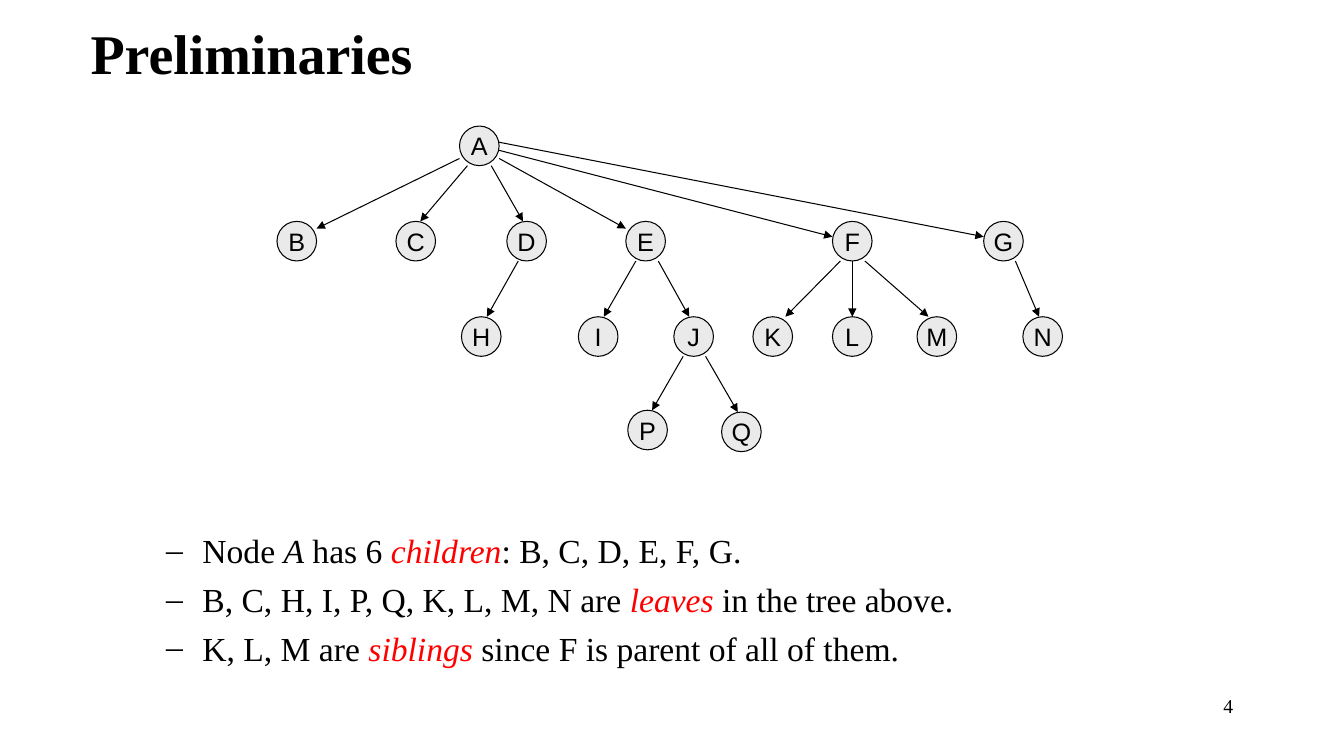
from pptx import Presentation
from pptx.dml.color import RGBColor
from pptx.enum.shapes import MSO_CONNECTOR as CONN, MSO_SHAPE as SHAPE
from pptx.enum.text import MSO_ANCHOR as ANCHOR, PP_ALIGN as ALIGN
from pptx.oxml.ns import qn
from pptx.util import Pt
from lxml.etree import SubElement

COLORS = {"ink": "000000", "term": "FF0000", "node": "EAEAEA"}
SERIF, SANS = "Times New Roman", "Arial"
TITLE, PAGE = "Preliminaries", "4"
FACTS = [
    [("Node ", None), ("A", "ink"), (" has 6 ", None), ("children", "term"),
     (": B, C, D, E, F, G.", None)],
    [("B, C, H, I, P, Q, K, L, M, N are ", None), ("leaves ", "term"),
     ("in the tree above.", None)],
    [("K, L, M are ", None), ("siblings", "term"),
     (" since F is parent of all of them.", None)],
]
DIAMETER = 28.3
RADIUS = DIAMETER / 2
ROWS = [
    (104.2, {"A": 342.4}),
    (172.3, {"B": 212, "C": 297, "D": 376.2, "E": 461.2, "F": 608.8, "G": 716.8}),
    (240.4, {"H": 343.8, "I": 427.3, "J": 495.5, "K": 552, "L": 608.8,
             "M": 669.2, "N": 744.8}),
    (307.2, {"P": 462.6}),
    (308.5, {"Q": 529.6}),
]
SIDE_EDGES = [("AB", -1, 9, -9), ("AE", 1, 9, -9), ("AF", 1, 3.2, -3.2), ("AG", 1, -2.6, -3.2)]
DOWN_EDGES = [
    ("AC", -8.5, 3.2), ("AD", 8.5, -2.6), ("DH", -6, 4), ("EI", -7, 4), ("EJ", 9, -3.2),
    ("FL", 0, 0), ("FK", -8.5, 9), ("FM", 9, -6), ("GN", 8.5, -2.6),
    ("JP", -7.5, 3.2), ("JQ", 8.5, -2.6),
]


def rgb(key):
    """Return a palette colour."""
    return RGBColor.from_string(COLORS[key])


def add_run(p, text, size, font, color="ink", bold=False, italic=False):
    """Add one styled run to a paragraph."""
    r = p.add_run()
    r.text = text
    r.font.size, r.font.name = Pt(size), font
    r.font.bold, r.font.italic = bold, italic
    r.font.color.rgb = rgb(color)


def add_box(s, left, top, width, height):
    """Add a wrapping text box and return its text frame."""
    tf = s.shapes.add_textbox(Pt(left), Pt(top), Pt(width), Pt(height)).text_frame
    tf.word_wrap = True
    return tf


def add_facts(s):
    """Add the dashed list of facts."""
    tf = add_box(s, 85, 375, 612, 132)
    for i, fact in enumerate(FACTS):
        p = tf.paragraphs[0] if i == 0 else tf.add_paragraph()
        pPr = p._p.get_or_add_pPr()
        pPr.set("marL", str(Pt(52.5)))
        pPr.set("indent", str(-Pt(26)))
        SubElement(pPr, qn("a:buFont")).set("typeface", SERIF)
        SubElement(pPr, qn("a:buChar")).set("char", "–")
        if i:
            p.space_before = Pt(6)
        for text, accent in fact:
            add_run(p, text, 24, SERIF, accent or "ink", italic=bool(accent))


def add_node(s, name, x, y):
    """Add a tree node centred on a point."""
    sp = s.shapes.add_shape(SHAPE.OVAL, Pt(x - RADIUS), Pt(y - RADIUS),
                            Pt(DIAMETER), Pt(DIAMETER))
    sp.shadow.inherit = False
    sp.fill.solid()
    sp.fill.fore_color.rgb = rgb("node")
    sp.line.color.rgb, sp.line.width = rgb("ink"), Pt(0.75)
    tf = sp.text_frame
    tf.word_wrap, tf.vertical_anchor = False, ANCHOR.MIDDLE
    p = tf.paragraphs[0]
    p.alignment = ALIGN.CENTER
    add_run(p, name, 18, SANS)


def add_arrow(s, x1, y1, x2, y2):
    """Add an arrow from a parent to a child."""
    c = s.shapes.add_connector(CONN.STRAIGHT, Pt(x1), Pt(y1), Pt(x2), Pt(y2))
    c.line.color.rgb, c.line.width = rgb("ink"), Pt(0.75)
    SubElement(c.line._get_or_add_ln(), qn("a:tailEnd")).set("type", "triangle")
    SubElement(c._element.spPr, qn("a:effectLst"))


def add_tree(s):
    """Add all nodes and the arrows between them."""
    centers = {name: (x, y) for y, row in ROWS for name, x in row.items()}
    for name, (x, y) in centers.items():
        add_node(s, name, x, y)
    edges = [(pair, side * RADIUS, dy1, -side * RADIUS, dy2)
             for pair, side, dy1, dy2 in SIDE_EDGES]
    edges += [(pair, dx1, RADIUS, dx2, -RADIUS) for pair, dx1, dx2 in DOWN_EDGES]
    for (parent, child), dx1, dy1, dx2, dy2 in edges:
        (x1, y1), (x2, y2) = centers[parent], centers[child]
        add_arrow(s, x1 + dx1, y1 + dy1, x2 + dx2, y2 + dy2)


def main():
    """Build and save the slide."""
    prs = Presentation()
    prs.slide_width, prs.slide_height = Pt(960), Pt(540)
    s = prs.slides.add_slide(prs.slide_layouts[6])
    p = add_box(s, 688, 492, 200, 36).paragraphs[0]
    p.alignment = ALIGN.RIGHT
    add_run(p, PAGE, 14, SERIF)
    tf = add_box(s, 57.6, 7.2, 816, 60)
    tf.vertical_anchor = ANCHOR.MIDDLE
    add_run(tf.paragraphs[0], TITLE, 40, SERIF, bold=True)
    add_facts(s)
    add_tree(s)
    prs.save("out.pptx")


if __name__ == "__main__":
    main()
